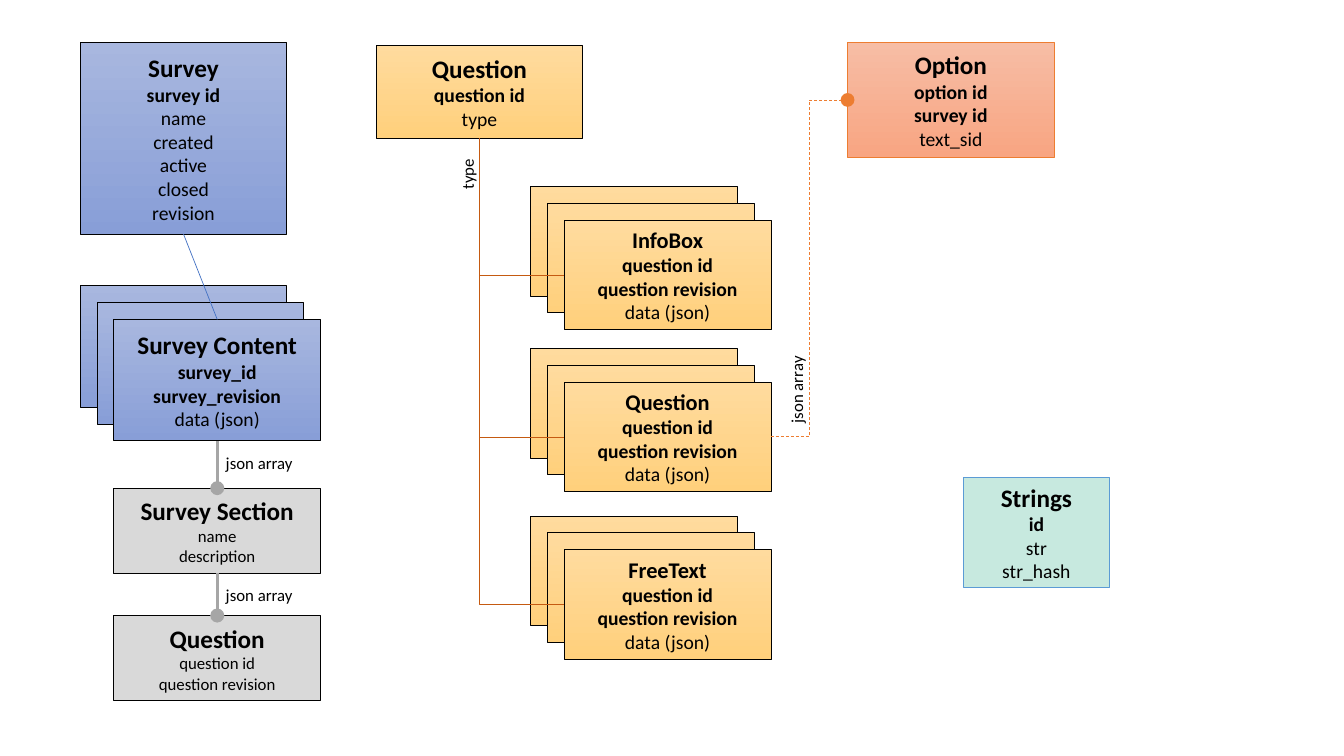
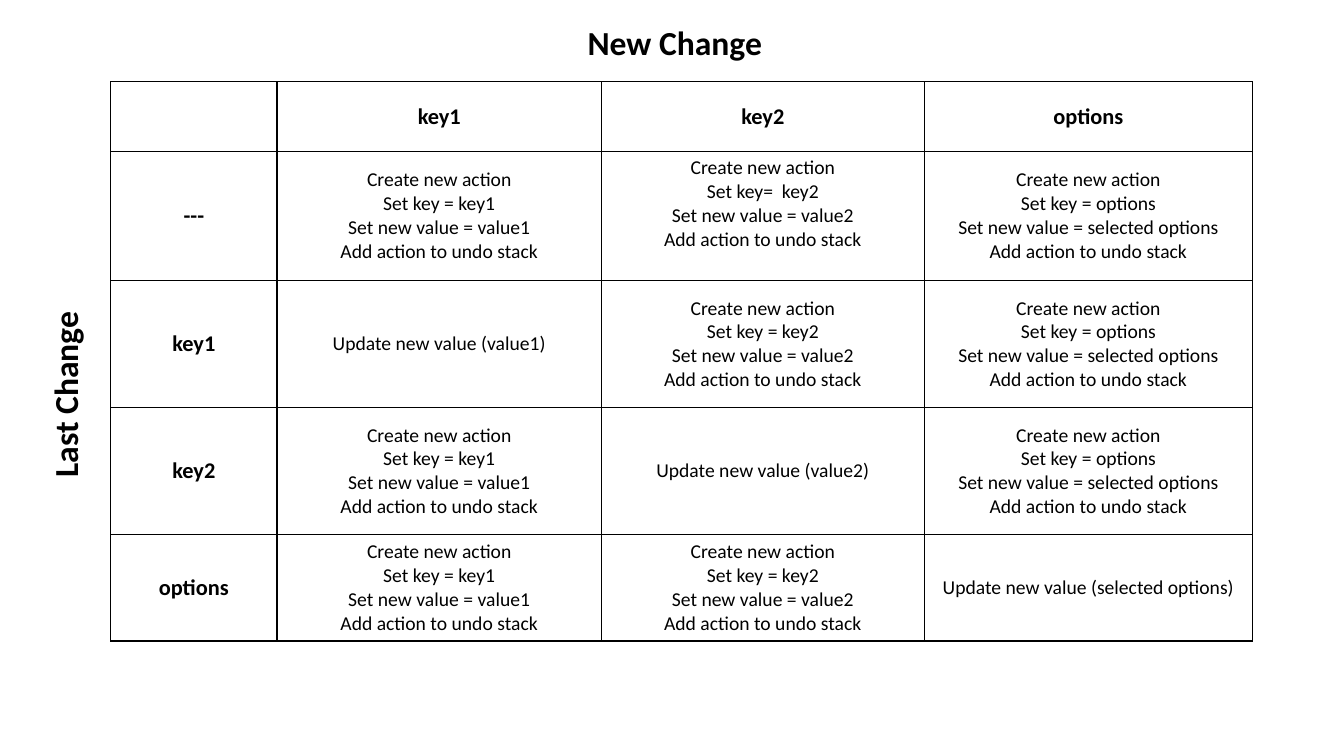
from lxml import etree
from pptx import Presentation
from pptx import util as u
from pptx.dml.color import RGBColor
from pptx.enum import dml, shapes, text
from pptx.oxml import ns

FONT = "Calibri"
BLACK = RGBColor(0x00, 0x00, 0x00)
BLUE = RGBColor(0x44, 0x72, 0xC4)
RUST = RGBColor(0xC5, 0x5A, 0x11)
ORANGE = RGBColor(0xED, 0x7D, 0x31)
SILVER = RGBColor(0xA6, 0xA6, 0xA6)
SKY = RGBColor(0x5B, 0x9B, 0xD5)

SURVEY = (RGBColor(0xA8, 0xB7, 0xDF), RGBColor(0x88, 0x9E, 0xD7), BLACK)
AMBER = (RGBColor(0xFF, 0xDB, 0x9E), RGBColor(0xFF, 0xD0, 0x7C), BLACK)
CORAL = (RGBColor(0xF7, 0xBD, 0xA5), RGBColor(0xF8, 0xA5, 0x82), ORANGE)
GREY = (RGBColor(0xD9, 0xD9, 0xD9), None, BLACK)
MINT = (RGBColor(0xC7, 0xE9, 0xDF), None, SKY)

WIDE = 5.21
STEP = 0.425
TOP, LEFT, BOTTOM, RIGHT = range(4)

KEYS = {"key1": "value1", "key2": "value2", "options": "selected options"}
COLS = (4.19, 8.18, 8.13, 8.28)
ROWS = (1.75, 3.25, 3.2, 3.2, 2.68)


def cms(*sizes):
    return [u.Cm(size) for size in sizes]


def write(frame, words, size, head=None, bold=0, align=text.PP_ALIGN.CENTER):
    frame.text = words
    for row, para in enumerate(frame.paragraphs):
        para.alignment = align
        for run in para.runs:
            font = run.font
            font.name = FONT
            font.size = u.Pt(head if head and row == 0 else size)
            font.bold = row < bold
            font.color.rgb = BLACK


def add_box(group, place, look, words="", size=14, head=18, bold=1):
    box = group.add_shape(shapes.MSO_SHAPE.RECTANGLE, *cms(*place))
    start, end, edge = look
    box.shadow.inherit = False
    if end is None:
        box.fill.solid()
        box.fill.fore_color.rgb = start
    else:
        box.fill.gradient()
        box.fill.gradient_angle = 270
        for stop, shade in zip(box.fill.gradient_stops, (start, end)):
            stop.color.rgb = shade
    box.line.color.rgb = edge
    box.line.width = u.Pt(0.5)
    box.text_frame.vertical_anchor = text.MSO_ANCHOR.MIDDLE
    if words:
        write(box.text_frame, words, size, head, bold)
    return box


def add_stack(slide, left, top, high, look, words, head):
    group = slide.shapes.add_group_shape().shapes
    for back in (2, 1):
        shift = back * STEP
        add_box(group, (left - shift, top - shift, WIDE, high), look)
    return add_box(group, (left, top, WIDE, high), look, words, head=head, bold=3)


def add_label(slide, place, words, size=12, bold=0, turn=0):
    label = slide.shapes.add_textbox(*cms(*place))
    label.rotation = turn
    label.text_frame.word_wrap = False
    label.text_frame.auto_size = text.MSO_AUTO_SIZE.SHAPE_TO_FIT_TEXT
    write(label.text_frame, words, size, bold=bold, align=text.PP_ALIGN.LEFT)


def add_link(slide, first, out, last, into, shade, width=0.5, bent=False, dot=False):
    kind = shapes.MSO_CONNECTOR.ELBOW if bent else shapes.MSO_CONNECTOR.STRAIGHT
    link = slide.shapes.add_connector(kind, 0, 0, 0, 0)
    link.begin_connect(first, out)
    link.end_connect(last, into)
    link.line.color.rgb = shade
    link.line.width = u.Pt(width)
    if dot:
        line = link.line._get_or_add_ln()
        etree.SubElement(line, ns.qn("a:tailEnd"), type="oval", w="lg", len="lg")
    etree.SubElement(link._element.spPr, ns.qn("a:effectLst"))
    return link


def add_branch(slide, first, last):
    link = add_link(slide, first, BOTTOM, last, LEFT, RUST, bent=True)
    wide, high = link.width, link.height
    link.left += (wide - high) // 2
    link.top += (high - wide) // 2
    link.width, link.height = high, wide
    props = link._element.spPr
    props.find(ns.qn("a:xfrm")).set("rot", "16200000")
    props.find(ns.qn("a:xfrm")).set("flipH", "1")
    props.find(ns.qn("a:prstGeom")).set("prst", "bentConnector2")


def set_edges(cell):
    props = cell._tc.get_or_add_tcPr()
    for spot, side in enumerate(("lnL", "lnR", "lnT", "lnB")):
        line = etree.Element(ns.qn("a:" + side), w=str(u.Pt(1)))
        fill = etree.SubElement(line, ns.qn("a:solidFill"))
        etree.SubElement(fill, ns.qn("a:srgbClr"), val=str(BLACK))
        props.insert(spot, line)


def fill_cell(cell, words, size=14, bold=0):
    cell.fill.background()
    cell.vertical_anchor = text.MSO_ANCHOR.MIDDLE
    set_edges(cell)
    write(cell.text_frame, words, size, bold=bold)


def tell_step(last, key):
    value = KEYS[key]
    if last == key:
        return f"Update new value ({value})"
    pair = "key=  key2" if (last, key) == ("---", "key2") else f"key = {key}"
    return "\n".join(("Create new action", f"Set {pair}",
                      f"Set new value = {value}", "Add action to undo stack"))


def add_grid(slide):
    table = slide.shapes.add_table(
        len(ROWS), len(COLS), *cms(2.79, 2.06, sum(COLS), sum(ROWS))).table
    table.first_row = table.horz_banding = False
    for col, wide in zip(table.columns, COLS):
        col.width = u.Cm(wide)
    for row, high in zip(table.rows, ROWS):
        row.height = u.Cm(high)
    fill_cell(table.cell(0, 0), "")
    for x, key in enumerate(KEYS, 1):
        fill_cell(table.cell(0, x), key, 16, 1)
    for y, last in enumerate(("---", *KEYS), 1):
        fill_cell(table.cell(y, 0), last, 16, 1)
        for x, key in enumerate(KEYS, 1):
            fill_cell(table.cell(y, x), tell_step(last, key))
    table.cell(1, 2).margin_bottom = u.Cm(0.73)


def draw_model(deck):
    slide = deck.slides.add_slide(deck.slide_layouts[6])
    canvas = slide.shapes
    survey = add_box(canvas, (2.02, 1.07, WIDE, 4.83), SURVEY,
                     "Survey\nsurvey id\nname\ncreated\nactive\nclosed\nrevision", bold=2)
    content = add_stack(slide, 2.87, 8.05, 3.06, SURVEY,
                        "Survey Content\nsurvey_id\nsurvey_revision\ndata (json)", 18)
    section = add_box(canvas, (2.87, 12.3, WIDE, 2.15), GREY,
                      "Survey Section\nname\ndescription", size=12)
    entry = add_box(canvas, (2.87, 15.51, WIDE, 2.15), GREY,
                    "Question\nquestion id\nquestion revision", size=12)
    question = add_box(canvas, (9.48, 1.14, WIDE, 2.34), AMBER,
                       "Question\nquestion id\ntype", bold=2)
    option = add_box(canvas, (21.36, 1.07, WIDE, 2.9), CORAL,
                     "Option\noption id\nsurvey id\ntext_sid", bold=3)
    add_box(canvas, (24.28, 12.03, 3.68, 2.77), MINT, "Strings\nid\nstr\nstr_hash", bold=2)

    kinds = {}
    for name, top in (("InfoBox", 5.55), ("Question", 9.63), ("FreeText", 13.85)):
        words = f"{name}\nquestion id\nquestion revision\ndata (json)"
        kinds[name] = add_stack(slide, 14.22, top, 2.76, AMBER, words, 16)
        add_branch(slide, question, kinds[name])

    add_link(slide, survey, BOTTOM, content, TOP, BLUE)
    for upper, lower, top in ((content, section, 11.28), (section, entry, 14.61)):
        add_link(slide, upper, BOTTOM, lower, TOP, SILVER, 2, dot=True)
        add_label(slide, (5.44, top, 2.21, 0.77), "json array")
    choice = add_link(slide, kinds["Question"], RIGHT, option, LEFT, ORANGE,
                      bent=True, dot=True)
    choice.line.dash_style = dml.MSO_LINE.DASH
    add_label(slide, (11.13, 3.99, 1.3, 0.77), "type", turn=270)
    add_label(slide, (18.97, 9.42, 2.21, 0.77), "json array", turn=270)


def draw_rules(deck):
    slide = deck.slides.add_slide(deck.slide_layouts[5])
    title = slide.shapes.title
    title.left, title.top, title.width, title.height = cms(14.53, 0.43, 4.95, 1.28)
    title.text_frame.word_wrap = False
    write(title.text_frame, "New Change", 24, bold=1)
    add_grid(slide)
    add_label(slide, (-0.74, 9.27, 4.75, 1.28), "Last Change", 24, 1, 270)


def main():
    deck = Presentation()
    deck.slide_width, deck.slide_height = cms(33.87, 19.05)
    draw_model(deck)
    draw_rules(deck)
    deck.save("out.pptx")


if __name__ == "__main__":
    main()
